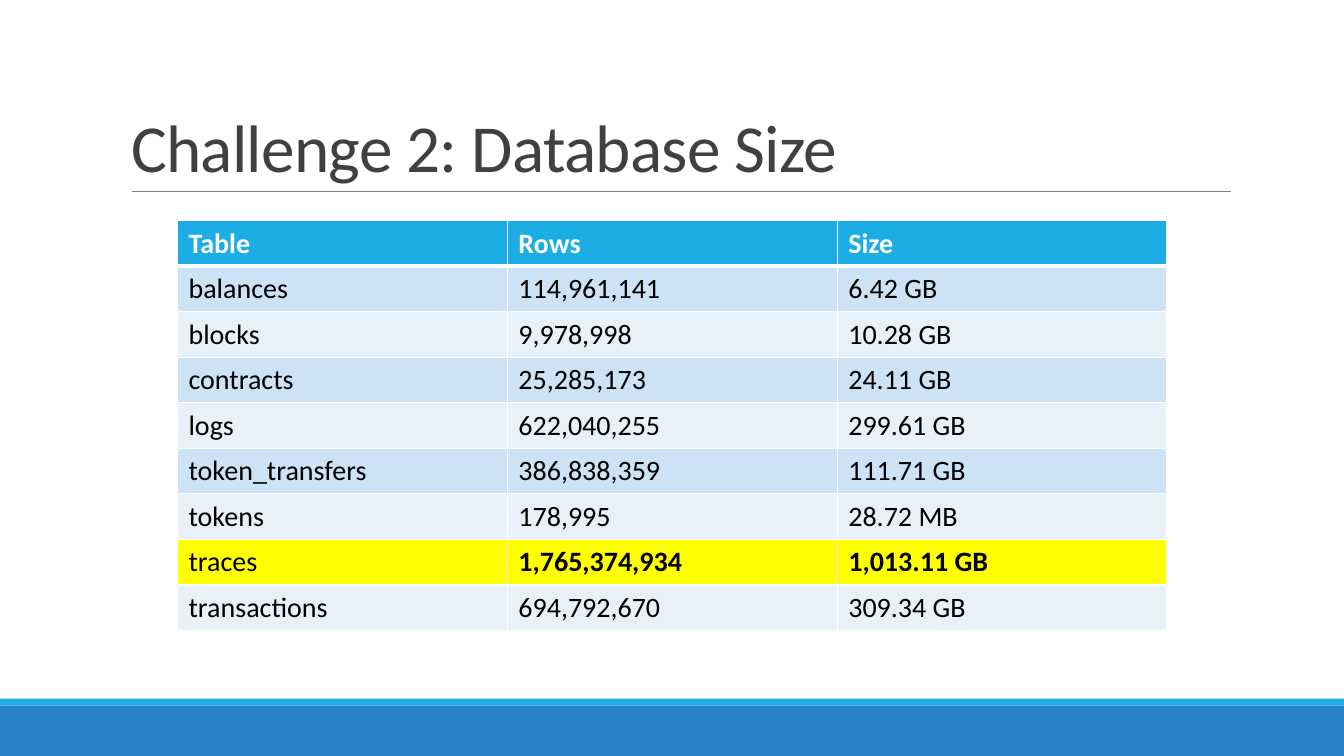
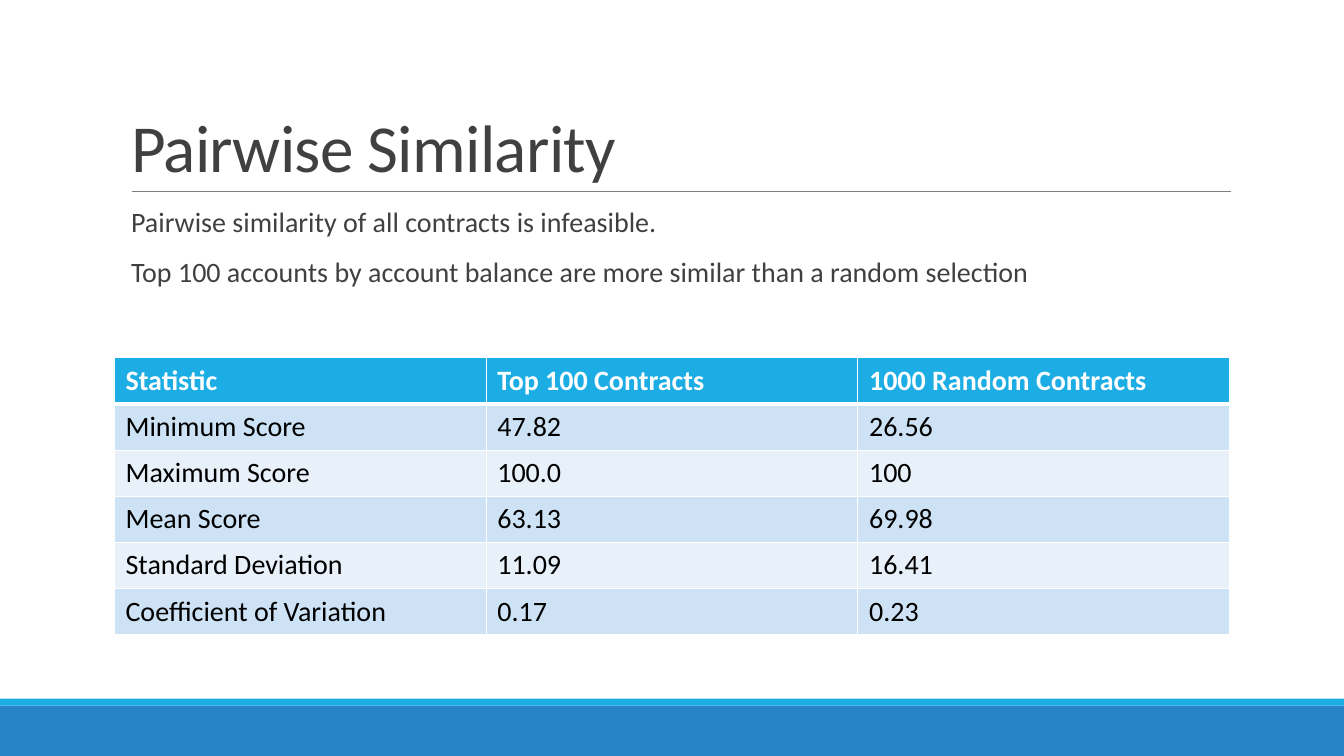
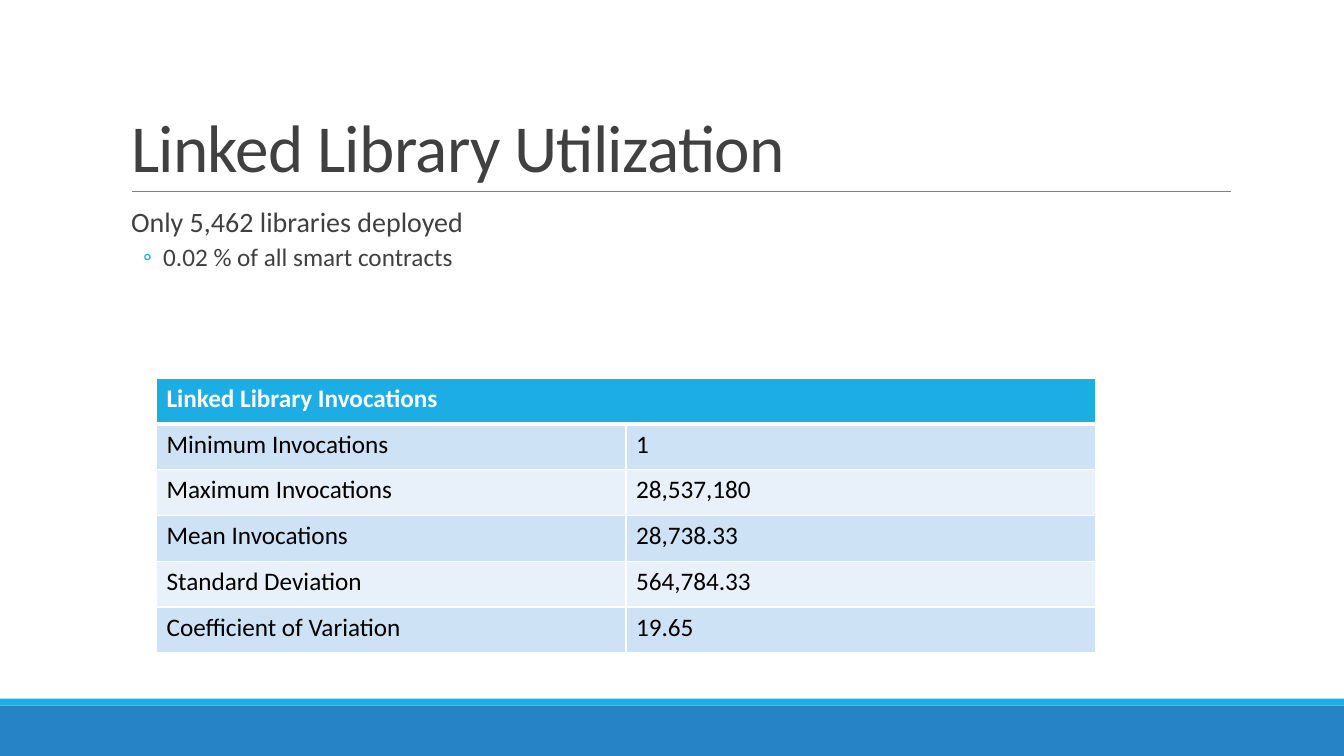
from lxml import etree
from pptx import Presentation
from pptx.dml.color import RGBColor
from pptx.enum import shapes, text
from pptx.oxml import ns
from pptx.util import Pt

FONT = "Calibri"
BLUE, CYAN, GRAY, INK = "2683C6", "1CADE4", "808080", "404040"
WHITE, BLACK, YELLOW = "FFFFFF", "000000", "FFFF00"
STRIPES = ("CDE3F5", "E8F1FA")
WIDTH, HEIGHT = 960, 540


def color(value):
    return RGBColor.from_string(value)


def add_node(parent, tag, **attributes):
    return etree.SubElement(parent, ns.qn(tag), attributes)


def style(font, size, ink, bold=False):
    font.name, font.size, font.bold = FONT, Pt(size), bold
    font.color.rgb = color(ink)


def place(shape, left, top, width, height):
    shape.left, shape.top = Pt(left), Pt(top)
    shape.width, shape.height = Pt(width), Pt(height)


def add_band(slide, top, height, fill):
    band = slide.shapes.add_shape(
        shapes.MSO_SHAPE.RECTANGLE, 0, Pt(top), Pt(WIDTH), Pt(height))
    band.shadow.inherit = False
    band.fill.solid()
    band.fill.fore_color.rgb = color(fill)
    band.line.fill.background()
    return band


def add_rule(slide, left, right, y):
    rule = slide.shapes.add_connector(
        shapes.MSO_CONNECTOR.STRAIGHT, Pt(left), Pt(y), Pt(right), Pt(y))
    rule.line.color.rgb = color(GRAY)
    rule.line.width = Pt(0.5)
    add_node(rule.element.spPr, "a:effectLst")
    return rule


def format_master(master, slide):
    title, body = master.placeholders[0], master.placeholders[1]
    place(title, 86.4, 22.3, 792, 114.5)
    title.text_frame.vertical_anchor = text.MSO_ANCHOR.BOTTOM
    place(body, 86.4, 145.4, 792, 316.8)
    body.text_frame.margin_left = body.text_frame.margin_right = 0
    for holder in (title, body):
        holder.text_frame.auto_size = text.MSO_AUTO_SIZE.NONE
    decor = (add_band(slide, 504, 36, BLUE), add_band(slide, 499, 5, CYAN),
             add_rule(slide, 94.3, 879.1, 136.8))
    for number, part in enumerate(decor):
        part.element.xpath(".//p:cNvPr")[0].set("id", str(100 + number))
        master.element.cSld.spTree.insert(2 + number, part.element)


def set_title(slide, wording):
    title = slide.shapes.title
    title.text_frame.text = wording
    heading = title.text_frame.paragraphs[0]
    heading.alignment = text.PP_ALIGN.LEFT
    heading.line_spacing = 0.85
    style(heading.font, 48, INK)
    title.element.xpath(".//a:defRPr")[0].set("spc", "-50")


def set_points(slide, points):
    frame = slide.placeholders[1].text_frame
    frame.text = "\n".join(wording for wording, _ in points)
    for paragraph, (_, level) in zip(frame.paragraphs, points):
        size, before, after, margin, hang, bullet = (
            (20, 12, 2, 7.2, 7.2, " "), (18, 2, 4, 30.2, 14.4, "◦"))[level]
        paragraph.level = level
        paragraph.line_spacing = 0.9
        paragraph.space_before, paragraph.space_after = Pt(before), Pt(after)
        properties = paragraph._p.get_or_add_pPr()
        properties.set("marL", str(Pt(margin)))
        properties.set("indent", str(-Pt(hang)))
        add_node(add_node(properties, "a:buClr"), "a:srgbClr", val=CYAN)
        add_node(properties, "a:buFont", typeface=FONT)
        add_node(properties, "a:buChar", char=bullet)
        style(paragraph.font, size, INK)


def set_borders(cell, top, bottom):
    properties = cell._tc.get_or_add_tcPr()
    for side, width in (("L", 1), ("R", 1), ("T", top), ("B", bottom)):
        edge = add_node(properties, "a:ln" + side, w=str(Pt(width)))
        add_node(add_node(edge, "a:solidFill"), "a:srgbClr", val=WHITE)


def format_cell(cell, row, wording, size, margins, fill, bold):
    set_borders(cell, 3 if row == 1 else 1, 3 if row == 0 else 1)
    cell.fill.solid()
    cell.fill.fore_color.rgb = color(fill)
    side, edge = margins
    cell.margin_left = cell.margin_right = Pt(side)
    cell.margin_top = cell.margin_bottom = Pt(edge)
    cell.text = wording
    style(cell.text_frame.paragraphs[0].font, size, BLACK if row else WHITE, bold)


def add_grid(slide, left, top, width, row_height, rows, size=20,
             margins=(8, 4), highlight=None):
    columns = len(rows[-1])
    grid = slide.shapes.add_table(
        len(rows), columns, Pt(left), Pt(top), Pt(width),
        Pt(row_height * len(rows))).table
    grid.horz_banding = False
    if len(rows[0]) == 1:
        grid.cell(0, 0).merge(grid.cell(0, columns - 1))
    for r, row in enumerate(rows):
        grid.rows[r].height = Pt(row_height)
        fill = CYAN if r == 0 else STRIPES[(r - 1) % 2]
        if r == highlight:
            fill = YELLOW
        for c, wording in enumerate(row):
            bold = r == 0 or (r == highlight and c > 0)
            format_cell(grid.cell(r, c), r, wording, size, margins, fill, bold)


def add_slide(deck, layout, title):
    slide = deck.slides.add_slide(deck.slide_layouts.get_by_name(layout))
    set_title(slide, title)
    return slide


def main():
    deck = Presentation()
    deck.slide_width, deck.slide_height = Pt(WIDTH), Pt(HEIGHT)

    database = add_slide(deck, "Title Only", "Challenge 2: Database Size")
    format_master(deck.slide_master, database)
    add_grid(database, 126.7, 157.7, 707, 32.5, [
        ("Table", "Rows", "Size"),
        ("balances", "114,961,141", "6.42 GB"),
        ("blocks", "9,978,998", "10.28 GB"),
        ("contracts", "25,285,173", "24.11 GB"),
        ("logs", "622,040,255", "299.61 GB"),
        ("token_transfers", "386,838,359", "111.71 GB"),
        ("tokens", "178,995", "28.72 MB"),
        ("traces", "1,765,374,934", "1,013.11 GB"),
        ("transactions", "694,792,670", "309.34 GB"),
    ], highlight=7)

    similarity = add_slide(deck, "Title and Content", "Pairwise Similarity")
    set_points(similarity, [
        ("Pairwise similarity of all contracts is infeasible.", 0),
        ("Top 100 accounts by account balance are more similar than a random selection", 0),
    ])
    add_grid(similarity, 81.7, 255.6, 796.7, 33, [
        ("Statistic", "Top 100 Contracts", "1000 Random Contracts"),
        ("Minimum Score", "47.82", "26.56"),
        ("Maximum Score", "100.0", "100"),
        ("Mean Score", "63.13", "69.98"),
        ("Standard Deviation", "11.09", "16.41"),
        ("Coefficient of Variation", "0.17", "0.23"),
    ])

    libraries = add_slide(deck, "Title and Content", "Linked Library Utilization")
    set_points(libraries, [
        ("Only 5,462 libraries deployed", 0),
        ("0.02 % of all smart contracts", 1),
    ])
    add_grid(libraries, 111.8, 270.2, 670.7, 32.7, [
        ("Linked Library Invocations",),
        ("Minimum Invocations", "1"),
        ("Maximum Invocations", "28,537,180"),
        ("Mean Invocations", "28,738.33"),
        ("Standard Deviation", "564,784.33"),
        ("Coefficient of Variation", "19.65"),
    ], size=18, margins=(7.2, 3.6))

    deck.save("out.pptx")


if __name__ == "__main__":
    main()
